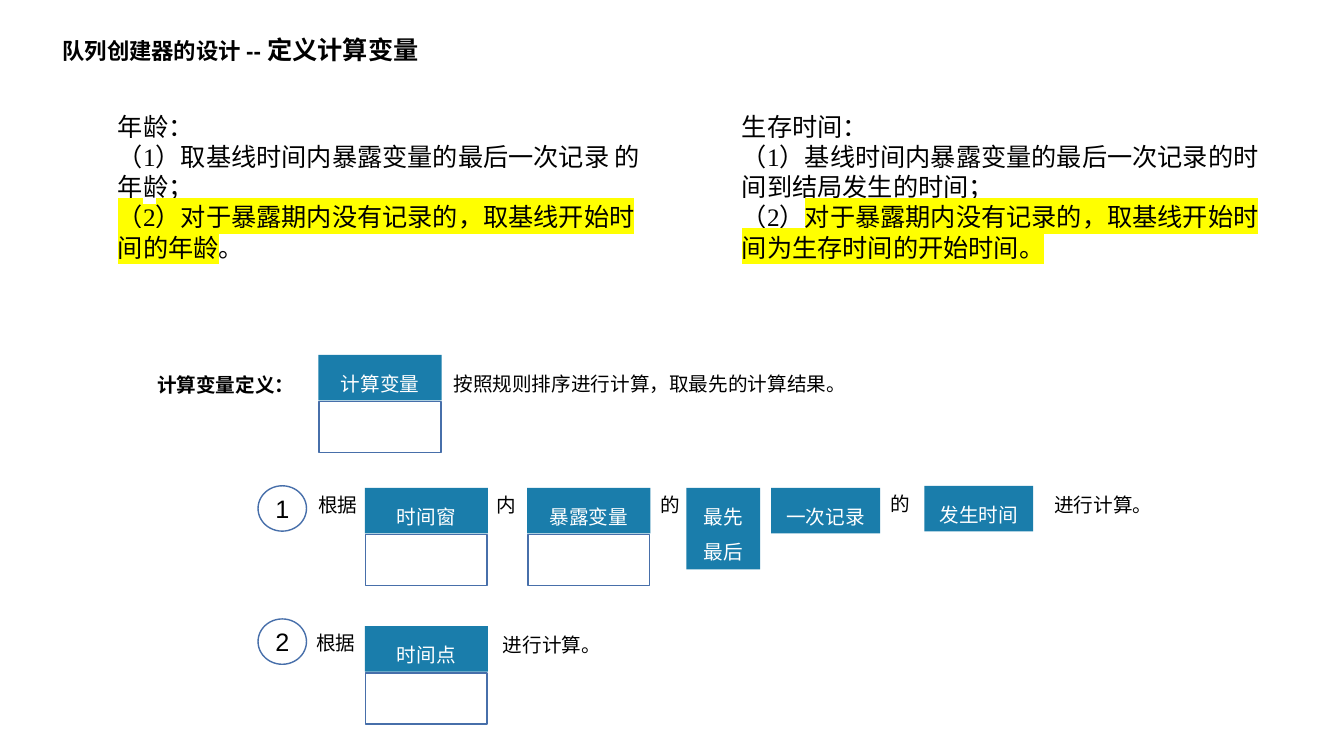
from dataclasses import dataclass
from typing import Optional

from lxml import etree
from pptx import Presentation
from pptx.dml import color as dml
from pptx.enum import shapes, text
from pptx.oxml import ns
from pptx.util import Pt

COLORS = {
    "text": "000000",
    "inverse": "FFFFFF",
    "header": "1A7DAB",
    "outline": "476FAA",
    "marker": "FFFF00",
}
SANS, SERIF = "Arial", "Times New Roman"
HEADER_WIDTH, HEADER_HEIGHT = 88, 32.5
SLOT_WIDTH, SLOT_HEIGHT, SLOT_OFFSET = 87, 36.5, 33.4
TAG_WIDTH = 77.8
DEFINITION_TOP, RULE_TOP, POINT_TOP = 253.5, 348.5, 447.2


@dataclass
class Run:
    text: str
    font: str = SANS
    size: float = 14
    marked: bool = False


@dataclass
class Label:
    text: str
    left: float
    top: float
    width: float
    spacing: float = 1
    bold: bool = False


@dataclass
class Field:
    name: str
    left: float
    top: float


@dataclass
class Tag:
    lines: list[str]
    left: float
    top: float
    width: float = TAG_WIDTH
    height: float = HEADER_HEIGHT


@dataclass
class Step:
    number: str
    top: float


AGE = [
    [Run("年龄：", SERIF, 18)],
    [
        Run("（1）取基线时间内暴露变量的最后一次记录 ", SERIF, 18),
        Run("的年龄", SANS, 18),
        Run("；", SERIF, 18),
    ],
    [
        Run("（2）对于暴露期内没有记录的，取基线开始时间的年龄", SERIF, 18, True),
        Run("。", SERIF, 18),
    ],
]
SURVIVAL = [
    [Run("生存时间：", SERIF, 18)],
    [
        Run("（1）基线时间内暴露变量的最后一次记录的时间", SERIF, 18),
        Run("到结局发生的时间", SANS, 18),
        Run("；", SERIF, 18),
    ],
    [
        Run("（2）", SERIF, 18),
        Run("对于暴露期内没有记录的，取基线开始时间为生存时间的开始时间。", SERIF, 18, True),
    ],
]
LABELS = [
    Label("计算变量定义：", 105.1, 254.2, 110.2, 1.5, True),
    Label("按照规则排序进行计算，取最先的计算结果。", 316.8, DEFINITION_TOP, 326.9, 1.5),
    Label("根据", 220.3, RULE_TOP, 51.1),
    Label("内", 347.8, RULE_TOP, 48.2),
    Label("的", 464.4, RULE_TOP, 30.2),
    Label("的", 629.3, 347.8, 30.2),
    Label("进行计算。", 745.9, RULE_TOP, 85),
    Label("根据", 218.9, POINT_TOP, 51.1),
    Label("进行计算。", 352.1, 448.6, 87.8),
]
FIELDS = [
    Field("计算变量", 227.5, DEFINITION_TOP),
    Field("时间窗", 260.6, RULE_TOP),
    Field("暴露变量", 376.6, RULE_TOP),
    Field("时间点", 260.6, POINT_TOP),
]
TAGS = [
    Tag(["最先", "最后"], 490.3, RULE_TOP, 52.6, 58.3),
    Tag(["一次记录"], 550.8, RULE_TOP),
    Tag(["发生时间"], 660.2, 347),
]
STEPS = [Step("1", 347), Step("2", 442.1)]


def rgb(name: str) -> dml.RGBColor:
    return dml.RGBColor.from_string(COLORS[name])


def write(shape, paragraphs: list[list[Run]], *, color: str = "text", bold: bool = False,
          align=text.PP_ALIGN.LEFT, anchor=text.MSO_ANCHOR.TOP, spacing: float = 1) -> None:
    frame = shape.text_frame
    frame.word_wrap = True
    frame.auto_size = text.MSO_AUTO_SIZE.NONE
    frame.vertical_anchor = anchor
    for index, runs in enumerate(paragraphs):
        paragraph = frame.paragraphs[0] if index == 0 else frame.add_paragraph()
        paragraph.alignment = align
        paragraph.line_spacing = spacing
        paragraph.space_before = Pt(0)
        if shape.is_placeholder:
            properties = paragraph._p.get_or_add_pPr()
            properties.set("marL", "0")
            properties.set("indent", "0")
            etree.SubElement(properties, ns.qn("a:buNone"))
        for item in runs:
            run = paragraph.add_run()
            run.text = item.text
            run.font.name = item.font
            run.font.size = Pt(item.size)
            run.font.bold = bold
            run.font.color.rgb = rgb(color)
            if item.marked:
                highlight = etree.Element(ns.qn("a:highlight"))
                etree.SubElement(highlight, ns.qn("a:srgbClr")).set("val", COLORS["marker"])
                run.font._element.find(ns.qn("a:solidFill")).addnext(highlight)


def place(shape, left: float, top: float, width: float, height: float) -> None:
    shape.left, shape.top = Pt(left), Pt(top)
    shape.width, shape.height = Pt(width), Pt(height)


def add_box(container, kind, left: float, top: float, width: float, height: float,
            *, fill: Optional[str] = None):
    shape = container.add_shape(kind, Pt(left), Pt(top), Pt(width), Pt(height))
    shape.shadow.inherit = False
    if fill:
        shape.fill.solid()
        shape.fill.fore_color.rgb = rgb(fill)
        shape.line.fill.background()
    else:
        shape.fill.background()
        shape.line.color.rgb = rgb("outline")
        shape.line.width = Pt(1)
    return shape


def draw_tag(container, tag: Tag) -> None:
    shape = add_box(container, shapes.MSO_SHAPE.RECTANGLE, tag.left, tag.top,
                    tag.width, tag.height, fill="header")
    write(shape, [[Run(line)] for line in tag.lines], color="inverse",
          align=text.PP_ALIGN.CENTER, spacing=1.5)


def draw_field(container, field: Field) -> None:
    group = container.add_group_shape().shapes
    draw_tag(group, Tag([field.name], field.left, field.top, HEADER_WIDTH))
    add_box(group, shapes.MSO_SHAPE.RECTANGLE, field.left + 0.4, field.top + SLOT_OFFSET,
            SLOT_WIDTH, SLOT_HEIGHT)


def draw_label(container, label: Label) -> None:
    height = 24.5 if label.spacing == 1 else HEADER_HEIGHT
    shape = container.add_textbox(Pt(label.left), Pt(label.top), Pt(label.width), Pt(height))
    write(shape, [[Run(label.text)]], bold=label.bold, spacing=label.spacing)


def draw_step(container, step: Step) -> None:
    shape = add_box(container, shapes.MSO_SHAPE.OVAL, 184.3, step.top, 34.6, 32.4)
    frame = shape.text_frame
    frame.margin_left = frame.margin_right = frame.margin_top = frame.margin_bottom = 0
    write(shape, [[Run(step.number, size=18)]], align=text.PP_ALIGN.CENTER,
          anchor=text.MSO_ANCHOR.MIDDLE)


def main() -> None:
    presentation = Presentation()
    presentation.slide_width, presentation.slide_height = Pt(960), Pt(540)
    slide = presentation.slides.add_slide(presentation.slide_layouts[3])
    title, age, survival = slide.placeholders
    place(title, 37.4, 20.9, 342, 28.8)
    write(title, [[Run("队列创建器的设计 -- ", size=16), Run("定义计算变量", size=18)]], bold=True)
    for body, left, height, content in ((age, 77, 116, AGE), (survival, 522.7, 130.3, SURVIVAL)):
        place(body, left, 75.6, 396.7, height)
        write(body, content)
    for draw, items in ((draw_label, LABELS), (draw_field, FIELDS),
                        (draw_tag, TAGS), (draw_step, STEPS)):
        for item in items:
            draw(slide.shapes, item)
    presentation.save("out.pptx")


if __name__ == "__main__":
    main()
